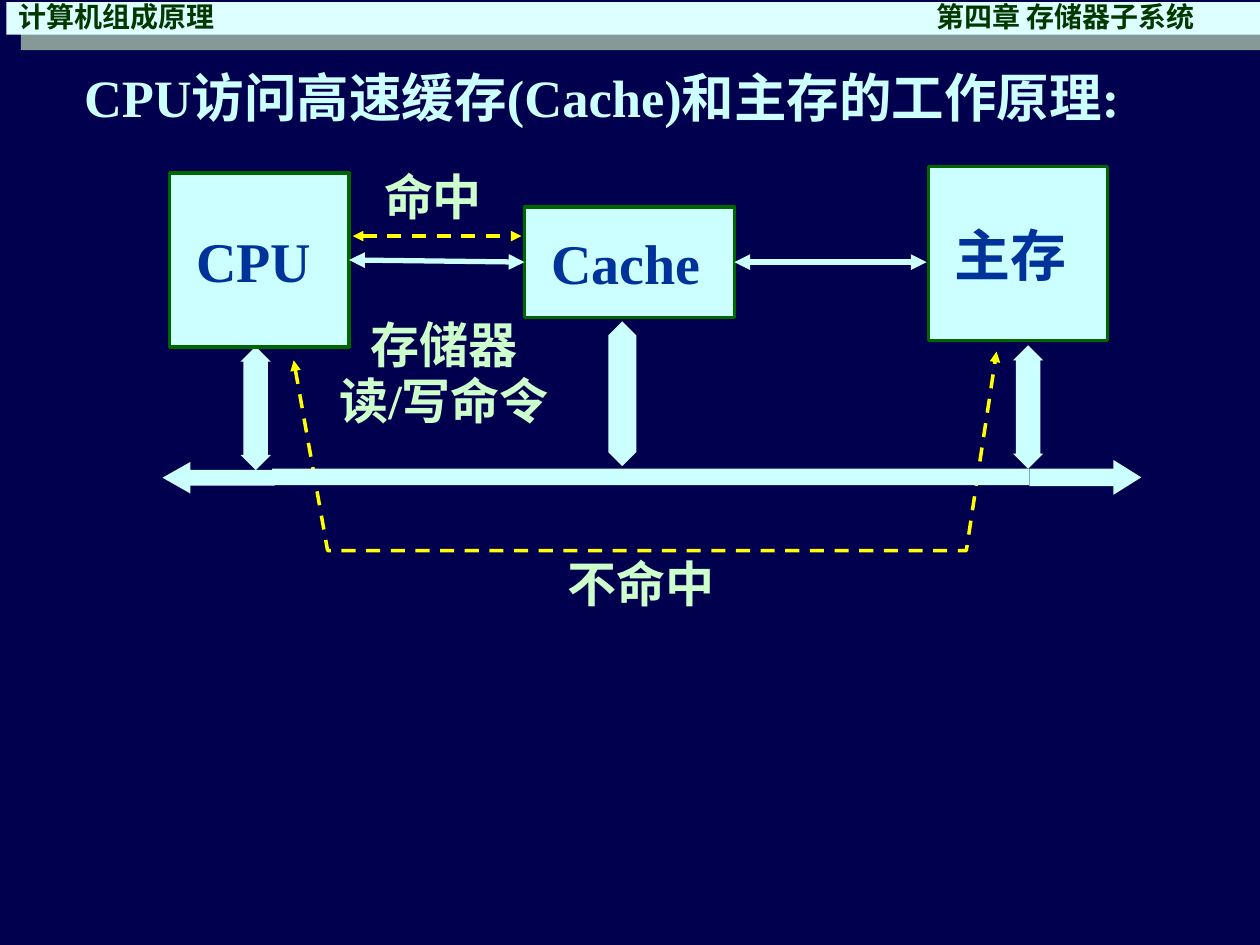
"""Build the slide on how a CPU accesses the cache and main memory."""
from lxml.etree import SubElement
from pptx import Presentation
from pptx.dml.color import RGBColor
from pptx.enum.dml import MSO_LINE
from pptx.enum.shapes import MSO_CONNECTOR, MSO_SHAPE
from pptx.enum.text import MSO_ANCHOR, PP_ALIGN
from pptx.oxml.ns import qn
from pptx.util import Pt

COLORS = {name: RGBColor.from_string(value) for name, value in {
    "background": "00004E", "pale": "CCFFFF", "label": "CCFFCC",
    "border": "006600", "box text": "003399", "miss": "FFFF00",
    "header": "DDFFFF", "header shadow": "859999", "header text": "003800",
}.items()}
CHINESE_FONT = "Noto Sans CJK JP"


def write_text(shape, text, size, color, font="Times New Roman"):
    frame = shape.text_frame
    frame.text = text
    frame.word_wrap = True
    for paragraph in frame.paragraphs:
        for run in paragraph.runs:
            run.font.size = Pt(size)
            run.font.bold = True
            run.font.color.rgb = COLORS[color]
            run.font.name = font
            SubElement(run.font._element, qn("a:ea"), typeface=CHINESE_FONT)
    return frame


def style_arrow(shape, color, width, dashed=False):
    shape.line.color.rgb = COLORS[color]
    shape.line.width = Pt(width)
    if dashed:
        shape.line.dash_style = MSO_LINE.DASH
    line = shape.line._get_or_add_ln()
    for end in ("a:headEnd", "a:tailEnd"):
        SubElement(line, qn(end), type="triangle")


presentation = Presentation()
presentation.slide_width = Pt(720)
presentation.slide_height = Pt(540)
slide = presentation.slides.add_slide(presentation.slide_layouts[6])
slide.background.fill.solid()
slide.background.fill.fore_color.rgb = COLORS["background"]
shapes = slide.shapes

for text, left, top, width, height, size, color in (
    ("命中", 212.4, 91.4, 88.6, 41, 28, "label"),
    ("不命中", 317.5, 312.5, 131.8, 41, 28, "label"),
    ("CPU访问高速缓存(Cache)和主存的工作原理:", 41, 33.8, 679, 43.2, 30, "pale"),
):
    text_box = shapes.add_textbox(Pt(left), Pt(top), Pt(width), Pt(height))
    write_text(text_box, text, size, color)

command_box = shapes.add_textbox(Pt(179.3), Pt(178.6), Pt(149), Pt(71.3))
command_frame = write_text(command_box, "存储器\n读/写命令", 28, "label")
command_frame.margin_left = command_frame.margin_right = 0
for paragraph in command_frame.paragraphs:
    paragraph.alignment = PP_ALIGN.CENTER
    paragraph.line_spacing = 0.95

builder = shapes.build_freeform(Pt(167.8), Pt(205.9))
builder.add_line_segments(
    [(Pt(187.2), Pt(314.6)), (Pt(552.2), Pt(314.6)), (Pt(569.5), Pt(200.9))], close=False)
miss_path = builder.convert_to_shape()
miss_path.shadow.inherit = False
miss_path.fill.background()
style_arrow(miss_path, "miss", 2, dashed=True)

for kind, left, top, width, height, head, color in (
    (MSO_SHAPE.RIGHT_ARROW, 588.2, 262.8, 64, 20, 0.8, "pale"),
    (MSO_SHAPE.LEFT_ARROW, 92.9, 264, 64, 18, 0.885, "pale"),
    (MSO_SHAPE.RECTANGLE, 155.5, 267.8, 432.5, 9.4, None, "pale"),
    (MSO_SHAPE.UP_DOWN_ARROW, 137.5, 198, 17.3, 70.6, 0.81, "pale"),
    (MSO_SHAPE.UP_DOWN_ARROW, 578.9, 197.3, 17.3, 70.6, 0.81, "pale"),
    (MSO_SHAPE.UP_DOWN_ARROW, 347.6, 183.6, 16, 82.8, 1.03, "pale"),
    (MSO_SHAPE.RECTANGLE, 12, 10, 708, 18.7, None, "header shadow"),
    (MSO_SHAPE.RECTANGLE, 3.6, 1.2, 716.4, 18.7, None, "header"),
):
    shape = shapes.add_shape(kind, Pt(left), Pt(top), Pt(width), Pt(height))
    shape.shadow.inherit = False
    shape.fill.solid()
    shape.fill.fore_color.rgb = COLORS[color]
    shape.line.fill.background()
    if head:
        shape.adjustments[0] = 0.5
        shape.adjustments[1] = head

boxes = {}
for name, left, top, width, height in (
    ("CPU", 97, 98.8, 102.5, 99.5),
    ("主存", 530.5, 95.2, 102.5, 99.5),
    ("Cache", 299.7, 118.2, 120, 63.2),
):
    box = shapes.add_shape(MSO_SHAPE.RECTANGLE, Pt(left), Pt(top), Pt(width), Pt(height))
    box.shadow.inherit = False
    box.fill.solid()
    box.fill.fore_color.rgb = COLORS["pale"]
    box.line.color.rgb = COLORS["border"]
    box.line.width = Pt(2)
    frame = write_text(box, name, 32, "box text")
    frame.margin_left = Pt(15.2)
    frame.vertical_anchor = MSO_ANCHOR.MIDDLE
    frame.paragraphs[0].alignment = PP_ALIGN.LEFT
    boxes[name] = box

for start, end, left, right, y, color, width in (
    ("CPU", "Cache", 199.5, 299.7, 149.8, "pale", 3),
    ("Cache", None, 419.7, 529.5, 149.8, "pale", 3),
    (None, None, 201.6, 298, 134.9, "miss", 2),
):
    connector = shapes.add_connector(
        MSO_CONNECTOR.STRAIGHT, Pt(left), Pt(y), Pt(right), Pt(y))
    if start:
        connector.begin_connect(boxes[start], 3)
    if end:
        connector.end_connect(boxes[end], 1)
    style_arrow(connector, color, width, dashed=color == "miss")
    SubElement(connector._element.spPr, qn("a:effectLst"))

header_box = shapes.add_textbox(Pt(3.6), Pt(-3.6), Pt(716.4), Pt(26.6))
header_frame = write_text(
    header_box, "计算机组成原理\t第四章 存储器子系统", 16, "header text", CHINESE_FONT)
properties = header_frame.paragraphs[0]._p.get_or_add_pPr()
tab_list = SubElement(properties, qn("a:tabLst"))
SubElement(tab_list, qn("a:tab"), pos=str(Pt(524.5)), algn="l")

presentation.save("out.pptx")
